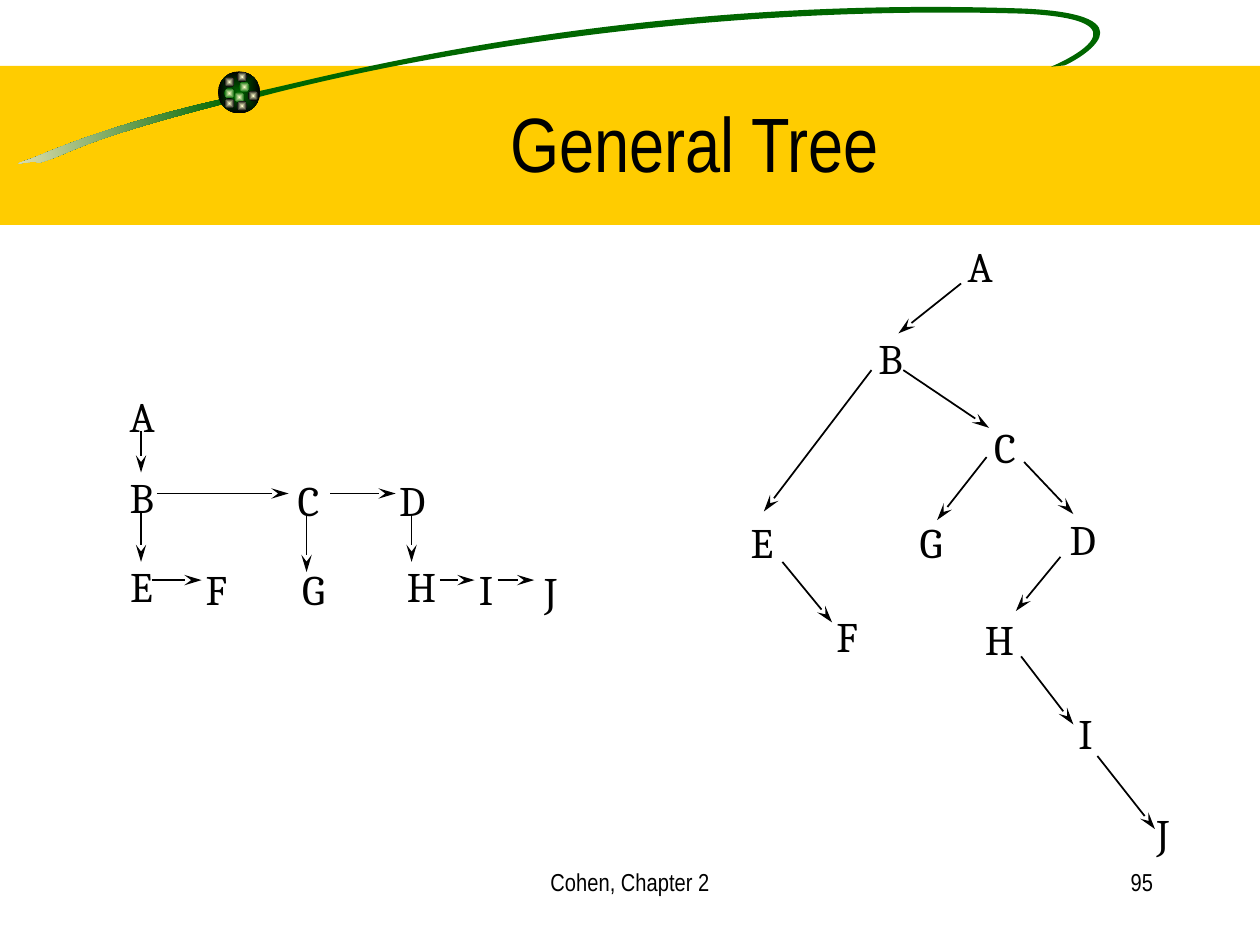
from dataclasses import dataclass
from math import cos, radians, sin
from typing import NamedTuple

from pptx import Presentation
from pptx.dml.color import RGBColor
from pptx.enum.shapes import MSO_CONNECTOR, MSO_SHAPE
from pptx.enum.text import MSO_ANCHOR, MSO_AUTO_SIZE, PP_ALIGN as Align
from pptx.oxml import parse_xml
from pptx.oxml.ns import nsdecls, qn
from pptx.util import Pt


@dataclass(frozen=True)
class Theme:
    ink: str = "000000"
    band: str = "FFCC00"
    green: str = "006600"
    cream: str = "F5EBC1"
    glow: str = "FFFFCC"
    heading_font: str = "Arial Narrow"
    node_font: str = "Cambria"
    title_size: int = 44
    node_size: int = 24
    footer_size: int = 14
    line_width: int = 1


class Node(NamedTuple):
    letter: str
    left: float
    top: float


class Arrow(NamedTuple):
    x1: float
    y1: float
    x2: float
    y2: float


class Dot(NamedTuple):
    left: float
    top: float
    rim: str


class Swoosh(NamedTuple):
    centre: tuple[float, float]
    start: tuple[float, float]
    segments: list[list[tuple[float, float]]]  # one point: line, three: curve


@dataclass(frozen=True)
class Tree:
    nodes: list[Node]
    arrows: list[Arrow]


THEME = Theme()
NODE_HEIGHT = 36
NODE_WIDTHS = dict(A=31.7, B=30.2, C=29.5, D=31.7, E=29.5,
                   F=28.8, G=31.7, H=33.8, I=23, J=23)

# First child points down, next sibling points right
SIBLING_TREE = Tree(
    [Node("A", 67, 219.6), Node("B", 67, 265.7), Node("E", 67.2, 316.8),
     Node("F", 110.5, 318.5), Node("G", 165.6, 318.5), Node("H", 225.4, 316.8),
     Node("I", 266.6, 318.5), Node("J", 304, 319.7),
     Node("C", 163, 267.4), Node("D", 221, 267.4)],
    [Arrow(80.6, 246.2, 80.6, 270), Arrow(80.6, 292.3, 80.6, 321.1),
     Arrow(89.6, 282, 164.9, 282), Arrow(188.6, 282, 226.1, 282),
     Arrow(86.6, 331.5, 115.2, 331.5), Arrow(175.2, 293.8, 175.2, 326.9),
     Arrow(235.2, 293.8, 235.2, 321.1), Arrow(251.3, 331.5, 271.2, 331.5),
     Arrow(284.4, 331.5, 305.3, 331.5)])

# The same links turned into a binary tree
BINARY_TREE = Tree(
    [Node("A", 545.8, 133.9), Node("B", 494.8, 186.5), Node("C", 561, 237.6),
     Node("D", 604.1, 289.7), Node("G", 518.4, 291.6), Node("E", 421.9, 291.6),
     Node("F", 470.9, 345.6), Node("H", 555.8, 347), Node("I", 609.1, 401),
     Node("J", 653.8, 457.9)],
    [Arrow(549.2, 162, 513.4, 190.5), Arrow(516.2, 211.5, 565.2, 244.5),
     Arrow(585.2, 264, 613.4, 293.8), Arrow(498, 211.5, 436.5, 292.3),
     Arrow(563.8, 261.2, 535.5, 297.2), Arrow(606, 318.2, 580.5, 349.2),
     Arrow(583.5, 375.1, 613.4, 414), Arrow(627.1, 432, 660, 473.8),
     Arrow(447.1, 321.1, 475.5, 355.7)])

# Outlines of the tilted swoosh
SWOOSH_TILT = -8.5
TAIL = Swoosh((64.1, 76.3), (128.2, 56.2), [
    [(65.5, 70.6), (35.3, 83.5), (18, 90.7)],
    [(0.7, 96.5), (18.7, 90.7), (22.3, 92.9)],
    [(41, 87.8), (41, 81.4), (128.9, 59)]])
LOOP = Swoosh((402.5, 28.4), (145.4, 52.6), [
    [(177.1, 46.8), (349.9, -3.6), (586.1, 5)],
    [(660.2, 8.6), (617, 33.8), (608.4, 37.4)],
    [(600.5, 38.2)],
    [(607.7, 35.3), (659.5, 11.5), (585.4, 7.9)],
    [(394.6, 2.2), (230.4, 33.8), (148.3, 55.4)]])

DOT_SIZE = 5.8
DOTS = [Dot(136.8, 46.8, THEME.green), Dot(128.2, 43.9, THEME.ink),
        Dot(128.2, 50.4, THEME.green), Dot(133.9, 52.6, THEME.green),
        Dot(141.8, 51.8, THEME.ink), Dot(135.4, 57.6, THEME.ink),
        Dot(128.2, 56.2, THEME.ink), Dot(135.4, 41, THEME.ink)]


def rgb(color: str) -> RGBColor:
    return RGBColor.from_string(color)


def solid(shape, color: str) -> None:
    shape.shadow.inherit = False
    shape.line.fill.background()
    shape.fill.solid()
    shape.fill.fore_color.rgb = rgb(color)


def gradient(shape, first: str, last: str, centred: bool = False) -> None:
    shape.shadow.inherit = False
    shape.line.fill.background()
    shape.fill.gradient()
    shape.fill.gradient_angle = 180
    for stop, color in zip(shape.fill.gradient_stops, (first, last)):
        stop.color.rgb = rgb(color)
    if centred:
        grad = shape._element.spPr.find(qn("a:gradFill"))
        grad.replace(grad.find(qn("a:lin")), parse_xml(
            f'<a:path {nsdecls("a")} path="rect">'
            '<a:fillToRect l="50000" t="50000" r="50000" b="50000"/></a:path>'))


def level(point: tuple[float, float], centre: tuple[float, float]) -> tuple[int, int]:
    """Turn a point back by the tilt, which the shape's rotation then applies."""
    turn = radians(-SWOOSH_TILT)
    dx, dy = point[0] - centre[0], point[1] - centre[1]
    return (Pt(centre[0] + dx * cos(turn) - dy * sin(turn)),
            Pt(centre[1] + dx * sin(turn) + dy * cos(turn)))


def add_swoosh(shapes, swoosh: Swoosh):
    builder = shapes.build_freeform(*level(swoosh.start, swoosh.centre))
    for segment in swoosh.segments:
        builder.add_line_segments([level(point, swoosh.centre) for point in segment], close=False)
    builder.add_line_segments([], close=True)
    shape = builder.convert_to_shape()
    shape.rotation = SWOOSH_TILT
    # Join each group of three points into one curve
    lines = iter(list(shape._element.iter(qn("a:lnTo"))))
    for segment in swoosh.segments:
        steps = [next(lines) for _ in segment]
        if len(steps) == 3:
            curve = parse_xml(f'<a:cubicBezTo {nsdecls("a")}/>')
            steps[0].addprevious(curve)
            for step in steps:
                curve.append(step[0])
                step.getparent().remove(step)
    return shape


def add_ball(shapes, left: float, top: float, size: float, core: str, rim: str) -> None:
    ball = shapes.add_shape(MSO_SHAPE.OVAL, Pt(left), Pt(top), Pt(size), Pt(size))
    gradient(ball, core, rim, centred=True)


def write(box, text: str, font: str, size: int, align: Align) -> None:
    para = box.text_frame.paragraphs[0]
    para.text = text
    para.alignment = align
    for span in para.runs:
        span.font.name = font
        span.font.size = Pt(size)
        span.font.color.rgb = rgb(THEME.ink)


def add_footer(shapes, text: str, left: float, width: float, align: Align) -> None:
    box = shapes.add_textbox(Pt(left), Pt(491.8), Pt(width), Pt(36))
    box.text_frame.word_wrap = True
    write(box, text, THEME.heading_font, THEME.footer_size, align)


def add_tree(shapes, tree: Tree) -> None:
    for node in tree.nodes:
        box = shapes.add_textbox(Pt(node.left), Pt(node.top),
                                 Pt(NODE_WIDTHS[node.letter]), Pt(NODE_HEIGHT))
        box.text_frame.word_wrap = False
        box.text_frame.auto_size = MSO_AUTO_SIZE.SHAPE_TO_FIT_TEXT
        write(box, node.letter, THEME.node_font, THEME.node_size, Align.LEFT)
    for arrow in tree.arrows:
        link = shapes.add_connector(MSO_CONNECTOR.STRAIGHT, *(Pt(value) for value in arrow))
        link.line.width = Pt(THEME.line_width)
        link.line.color.rgb = rgb(THEME.ink)
        link.line._get_or_add_ln().append(
            parse_xml(f'<a:tailEnd {nsdecls("a")} type="stealth" w="med" len="lg"/>'))
        link._element.spPr.append(parse_xml(f'<a:effectLst {nsdecls("a")}/>'))


def main() -> None:
    deck = Presentation()
    deck.slide_width, deck.slide_height = Pt(720), Pt(540)
    shapes = deck.slides.add_slide(deck.slide_layouts[5]).shapes
    # Header band, swoosh and ball
    art = shapes.add_group_shape().shapes
    solid(art.add_shape(MSO_SHAPE.RECTANGLE, 0, Pt(37.6), Pt(720), Pt(90.9)), THEME.band)
    gradient(add_swoosh(art, TAIL), THEME.green, THEME.cream)
    solid(add_swoosh(art, LOOP), THEME.green)
    add_ball(art, 124.6, 40.8, 24, THEME.green, THEME.ink)
    for dot in DOTS:
        add_ball(art, dot.left, dot.top, DOT_SIZE, THEME.glow, dot.rim)
    # Title, brought in front of the band
    title = shapes.title
    shapes._spTree.append(title._element)
    title.left, title.top, title.width, title.height = Pt(91), Pt(36), Pt(612), Pt(90)
    title.text_frame.vertical_anchor = MSO_ANCHOR.MIDDLE
    write(title, "General Tree", THEME.heading_font, THEME.title_size, Align.CENTER)
    # Trees and footer
    add_tree(shapes.add_group_shape().shapes, SIBLING_TREE)
    add_tree(shapes, BINARY_TREE)
    add_footer(shapes, "Cohen, Chapter 2", 246, 228, Align.CENTER)
    add_footer(shapes, "95", 516, 150, Align.RIGHT)
    deck.save("out.pptx")


if __name__ == "__main__":
    main()
